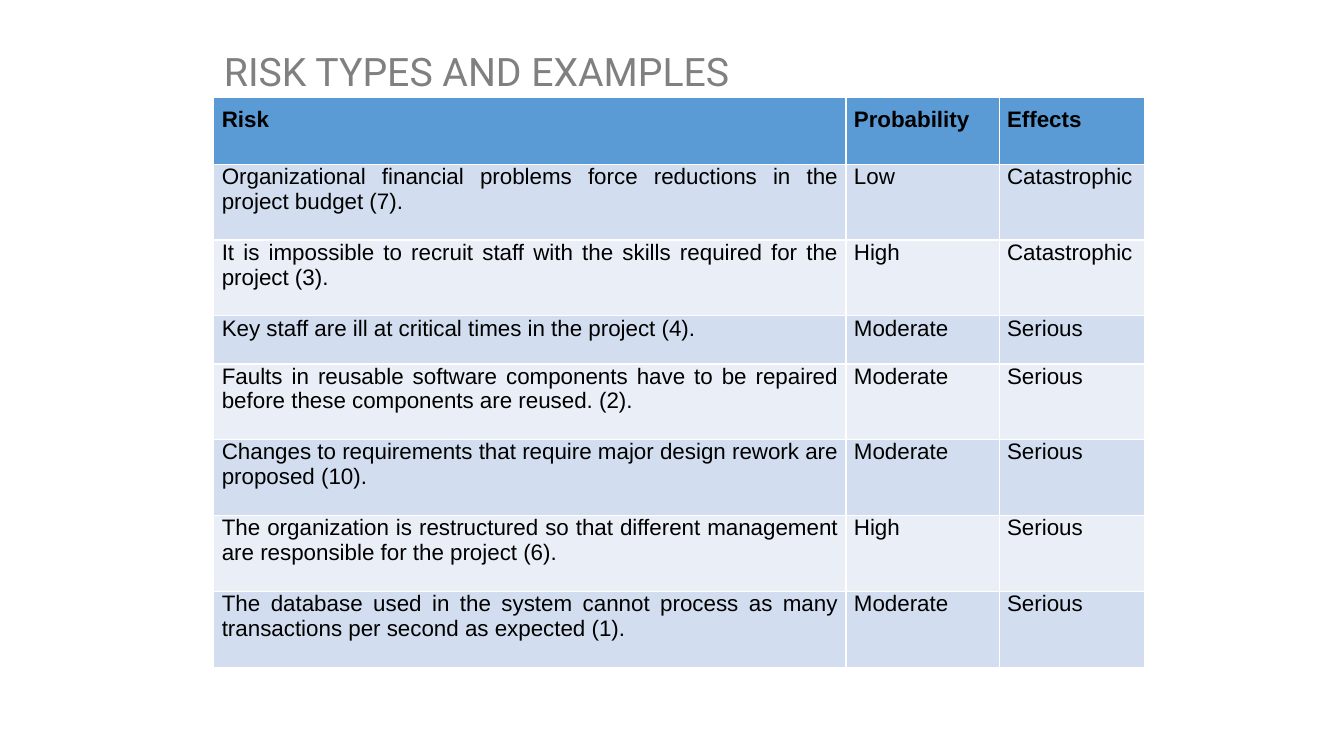
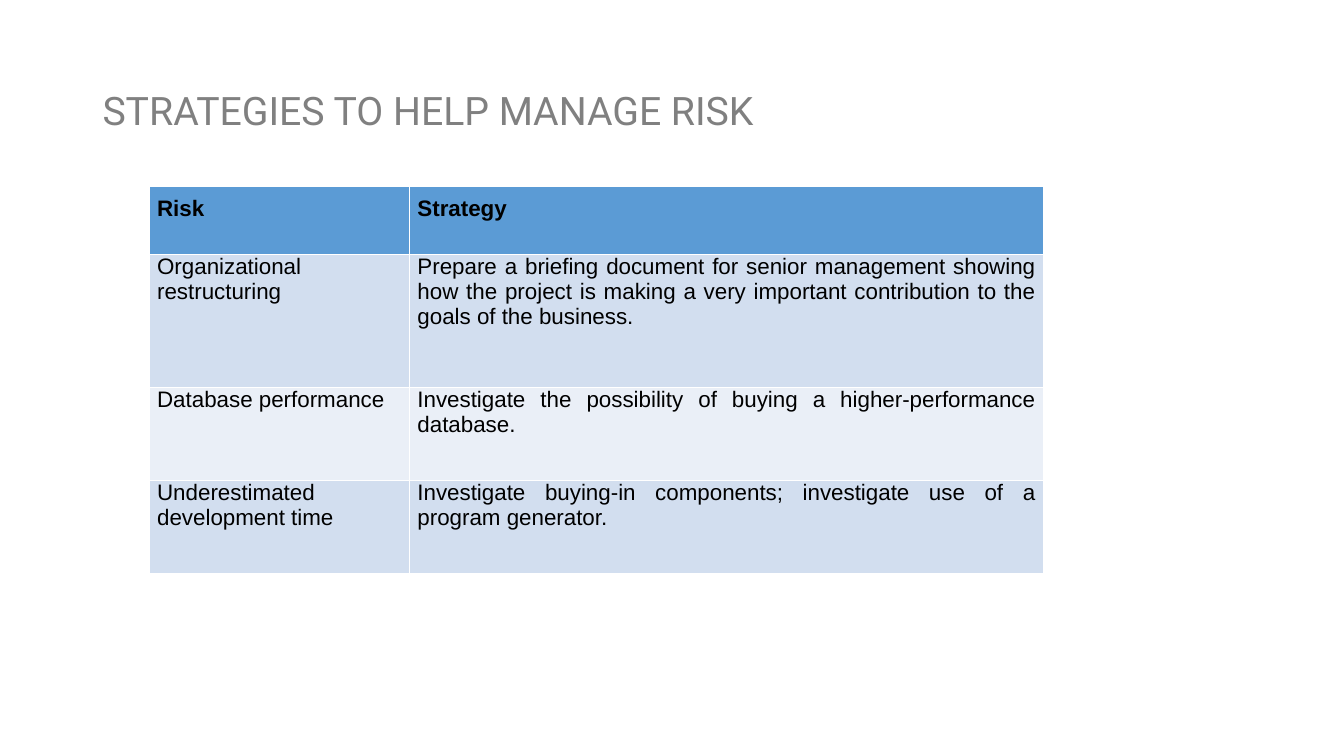
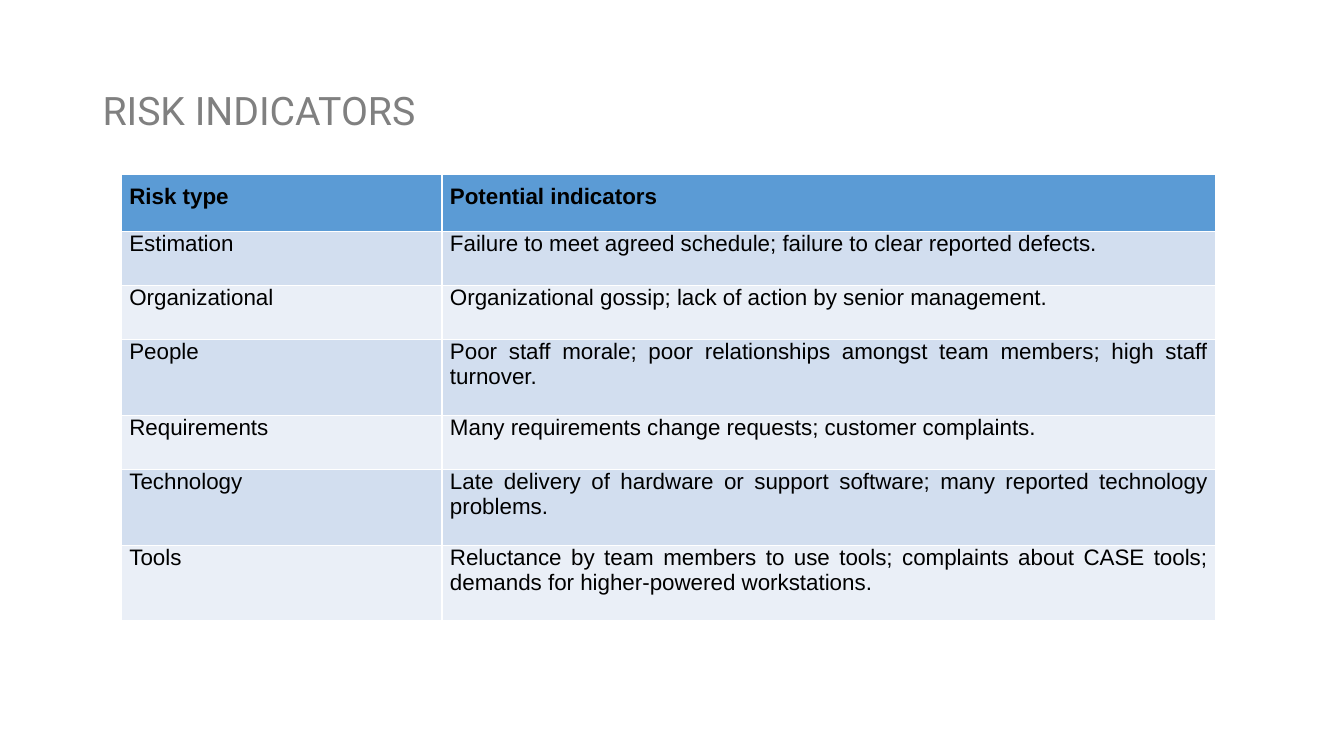
from dataclasses import dataclass

from pptx import Presentation, util as u
from pptx.dml.color import RGBColor
from pptx.enum import text

GREY = RGBColor(0x80, 0x80, 0x80)
BLACK = RGBColor(0x00, 0x00, 0x00)
HEAD = RGBColor(0x5B, 0x9B, 0xD5)
BANDS = (RGBColor(0xD2, 0xDE, 0xEF), RGBColor(0xEA, 0xEF, 0xF7))

LEFT = text.PP_ALIGN.LEFT
EVEN = text.PP_ALIGN.JUSTIFY
PAD = u.Cm(0.2)
GAP = u.Cm(0.25)
TITLE_ONLY = 5


@dataclass(frozen=True)
class Box:
    """Place and size in centimetres."""
    x: float
    y: float
    w: float
    h: float


@dataclass(frozen=True)
class Grid:
    """Table with its top left corner and sizes in centimetres."""
    x: float
    y: float
    cols: tuple[float, ...]
    rows: tuple[float, ...]
    cells: tuple[tuple[str, ...], ...]
    lead: text.PP_ALIGN = EVEN  # alignment of the first column below the head


@dataclass(frozen=True)
class Page:
    title: str
    box: Box
    grid: Grid


WIDE = Box(2.33, 1.01, 29.21, 3.68)
TALL = 1.91

PAGES = (
    Page("RISK TYPES AND EXAMPLES", Box(5.39, 1.25, 19.38, 1.2), Grid(
        5.39, 2.45, (15.93, 3.86, 3.66),
        (1.69, TALL, TALL, 1.21, TALL, TALL, TALL, TALL),
        (
            ("Risk", "Probability", "Effects"),
            ("Organizational financial problems force reductions in the "
             "project budget (7).", "Low", "Catastrophic"),
            ("It is impossible to recruit staff with the skills required "
             "for the project (3).", "High", "Catastrophic"),
            ("Key staff are ill at critical times in the project (4).",
             "Moderate", "Serious"),
            ("Faults in reusable software components have to be repaired "
             "before these components are reused. (2).",
             "Moderate", "Serious"),
            ("Changes to requirements that require major design rework are "
             "proposed (10).", "Moderate", "Serious"),
            ("The organization is restructured so that different management "
             "are responsible for the project (6).", "High", "Serious"),
            ("The database used in the system cannot process as many "
             "transactions per second as expected (1).",
             "Moderate", "Serious"),
        ))),
    Page("STRATEGIES TO HELP MANAGE RISK", WIDE, Grid(
        3.76, 4.7, (6.56, 15.98), (1.72, 3.34, 2.35, 2.35),
        (
            ("Risk", "Strategy"),
            ("Organizational restructuring",
             "Prepare a briefing document for senior management showing how "
             "the project is making a very important contribution to the "
             "goals of the business."),
            ("Database performance",
             "Investigate the possibility of buying a higher-performance "
             "database."),
            ("Underestimated development time",
             "Investigate buying-in components; investigate use of a "
             "program generator."),
        ), LEFT)),
    Page("RISK INDICATORS", WIDE, Grid(
        3.06, 4.4, (8.08, 19.5), (1.44, 1.36, 1.36, TALL, 1.36, TALL, TALL),
        (
            ("Risk type", "Potential indicators"),
            ("Estimation", "Failure to meet agreed schedule; failure to "
             "clear reported defects."),
            ("Organizational", "Organizational gossip; lack of action by "
             "senior management."),
            ("People", "Poor staff morale; poor relationships amongst team "
             "members; high staff turnover."),
            ("Requirements", "Many requirements change requests; customer "
             "complaints."),
            ("Technology", "Late delivery of hardware or support software; "
             "many reported technology problems."),
            ("Tools", "Reluctance by team members to use tools; complaints "
             "about CASE tools; demands for higher-powered workstations."),
        ))),
)


def style(para, face: str, size: int, color: RGBColor,
          align: text.PP_ALIGN, bold: bool = False) -> None:
    para.alignment = align
    font = para.font
    font.name, font.size, font.bold = face, u.Pt(size), bold
    font.color.rgb = color


def add_title(slide, words: str, box: Box) -> None:
    title = slide.shapes.title
    title.left, title.top = u.Cm(box.x), u.Cm(box.y)
    title.width, title.height = u.Cm(box.w), u.Cm(box.h)
    frame = title.text_frame
    frame.text = words
    frame.word_wrap = True
    frame.auto_size = text.MSO_AUTO_SIZE.NONE
    frame.vertical_anchor = text.MSO_ANCHOR.MIDDLE
    para = frame.paragraphs[0]
    para.line_spacing = 0.9
    style(para, "Roboto", 28, GREY, LEFT)


def fill_cell(cell, words: str, row: int, align: text.PP_ALIGN) -> None:
    head = row == 0
    cell.text = words
    cell.margin_left = cell.margin_right = PAD
    cell.margin_top = GAP if head else 0
    cell.margin_bottom = GAP
    cell.fill.solid()
    cell.fill.fore_color.rgb = HEAD if head else BANDS[(row - 1) % 2]
    style(cell.text_frame.paragraphs[0], "Arial", 16, BLACK, align, head)


def add_grid(slide, grid: Grid) -> None:
    """Draw the table; its default style gives the white rules."""
    table = slide.shapes.add_table(
        len(grid.rows), len(grid.cols), u.Cm(grid.x), u.Cm(grid.y),
        u.Cm(sum(grid.cols)), u.Cm(sum(grid.rows))).table
    for col, width in zip(table.columns, grid.cols):
        col.width = u.Cm(width)
    for row, high in zip(table.rows, grid.rows):
        row.height = u.Cm(high)
    for r, line in enumerate(grid.cells):
        for c, words in enumerate(line):
            align = grid.lead if r and c == 0 else EVEN
            fill_cell(table.cell(r, c), words, r, align)


def main() -> None:
    deck = Presentation()
    deck.slide_width, deck.slide_height = u.Cm(33.87), u.Cm(19.05)
    for page in PAGES:
        slide = deck.slides.add_slide(deck.slide_layouts[TITLE_ONLY])
        add_title(slide, page.title, page.box)
        add_grid(slide, page.grid)
    deck.save("out.pptx")


if __name__ == "__main__":
    main()
